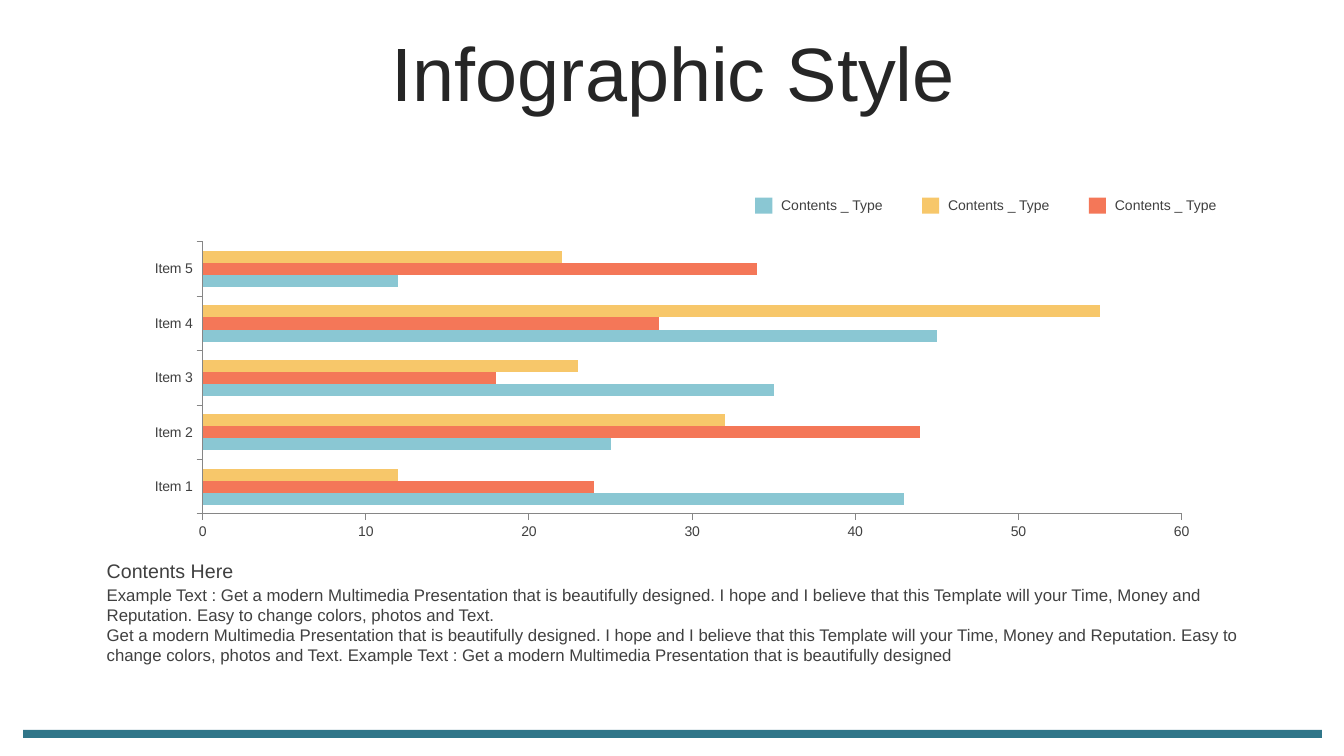
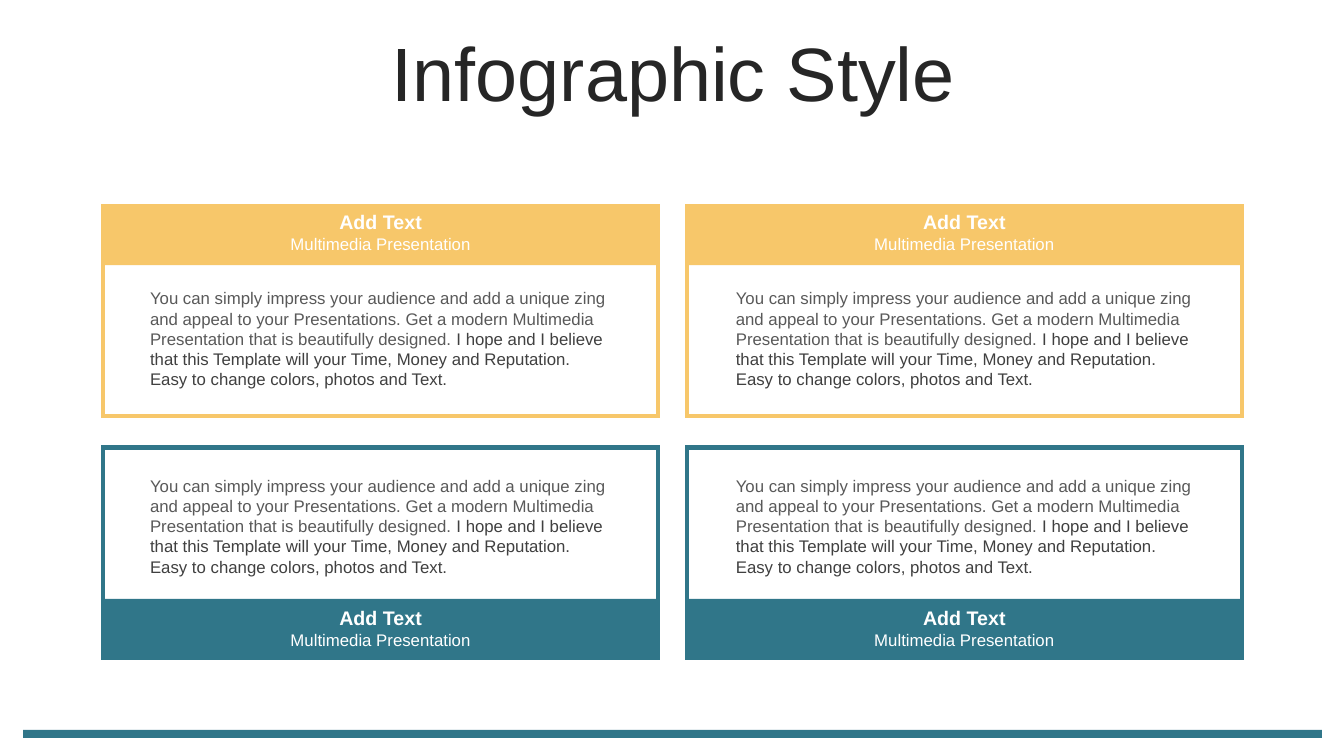
from dataclasses import dataclass

from lxml.etree import SubElement
from pptx import Presentation
from pptx.chart.data import CategoryChartData
from pptx.dml.color import RGBColor
from pptx.enum.chart import XL_CHART_TYPE, XL_TICK_MARK
from pptx.enum.shapes import MSO_SHAPE
from pptx.enum.text import MSO_ANCHOR, PP_ALIGN
from pptx.oxml.ns import qn
from pptx.util import Inches, Pt

FONT = "Arial"
TEAL, SKY, AMBER, CORAL = "307689", "8AC7D3", "F7C76A", "F47758"
WHITE, INK, DARK, GREY, AXIS = "FFFFFF", "262626", "404040", "595959", "868686"

CARD_WIDTH, CARD_HEIGHT, BAND_HEIGHT = 5.51, 2.09, 0.59
LEGEND_LEFT, LEGEND_STEP = 7.49, 1.655

HOPE = "I hope and I believe that this Template will your Time, Money and Reputation. Easy to change colors, photos and Text."
DESIGN = "Get a modern Multimedia Presentation that is beautifully designed"
PITCH = f"You can simply impress your audience and add a unique zing and appeal to your Presentations. {DESIGN}. "
SUMMARY = (
    f"Example Text : {DESIGN}. {HOPE}",
    f"{DESIGN}. {HOPE} Example Text : {DESIGN}",
)


@dataclass(frozen=True)
class Run:
    """A stretch of text in one style."""
    text: str
    size: float = 12
    color: str = DARK
    bold: bool = False


@dataclass(frozen=True)
class Area:
    """A rectangular area in inches."""
    left: float
    top: float
    width: float
    height: float


@dataclass(frozen=True)
class Measure:
    """A chart series and its colour."""
    name: str
    values: tuple[int, ...]
    color: str


@dataclass(frozen=True)
class CardColumn:
    """A column of cards and the left edge of their body text."""
    left: float
    body_left: float


@dataclass(frozen=True)
class CardRow:
    """A row of cards with the tops of their parts."""
    top: float
    color: str
    band_top: float
    band_margin: float
    body_top: float


CHART_AREA = Area(1.33, 2.35, 10.68, 3.07)
PLOT_AREA = Area(2.01, 2.4, 9.71, 2.7)
MEASURES = (
    Measure("Series 1", (43, 25, 35, 45, 12), SKY),
    Measure("Series 2", (24, 44, 18, 28, 34), CORAL),
    Measure("Series 3", (12, 32, 23, 55, 22), AMBER),
)
CARD_COLUMNS = (CardColumn(1.02, 1.39), CardColumn(6.81, 7.2))
CARD_ROWS = (
    CardRow(2.04, AMBER, 2.04, 0.04, 2.81),
    CardRow(4.44, TEAL, 4.44 + CARD_HEIGHT - BAND_HEIGHT, 0.07, 4.67),
)


def rgb(value: str) -> RGBColor:
    """Turn a hex string into a colour."""
    return RGBColor.from_string(value)


def write(frame, paragraphs: list[list[Run]], align=PP_ALIGN.LEFT) -> None:
    """Fill a text frame with styled paragraphs."""
    frame.word_wrap = True
    for index, runs in enumerate(paragraphs):
        paragraph = frame.add_paragraph() if index else frame.paragraphs[0]
        paragraph.alignment = align
        for part in runs:
            run = paragraph.add_run()
            run.text = part.text
            run.font.name, run.font.size = FONT, Pt(part.size)
            run.font.bold = part.bold
            run.font.color.rgb = rgb(part.color)


def add_text(slide, left: float, top: float, width: float, height: float,
             paragraphs: list[list[Run]], anchor=MSO_ANCHOR.TOP) -> None:
    """Add a wrapped text box."""
    frame = slide.shapes.add_textbox(
        Inches(left), Inches(top), Inches(width), Inches(height)).text_frame
    frame.vertical_anchor = anchor
    write(frame, paragraphs)


def add_rect(slide, left: float, top: float, width: float, height: float,
             fill: str = "", line: str = ""):
    """Add a rectangle that is filled or has a sharp-cornered outline."""
    rect = slide.shapes.add_shape(
        MSO_SHAPE.RECTANGLE, Inches(left), Inches(top), Inches(width), Inches(height))
    rect.shadow.inherit = False
    if fill:
        rect.fill.solid()
        rect.fill.fore_color.rgb = rgb(fill)
    else:
        rect.fill.background()
    if line:
        rect.line.color.rgb = rgb(line)
        rect.line.width = Pt(3)
        outline = rect._element.spPr.find(qn("a:ln"))
        SubElement(outline, qn("a:miter")).set("lim", "800000")
    else:
        rect.line.fill.background()
    return rect


def add_slide(deck, heading: str):
    """Add a slide with the shared title and footer band."""
    slide = deck.slides.add_slide(deck.slide_layouts[5])
    add_rect(slide, 0.23, 7.24, 12.88, 0.08, fill=TEAL)
    title = slide.shapes.title
    title.left, title.top = Inches(0.35), Inches(0.37)
    title.width, title.height = Inches(12.66), Inches(0.79)
    title.text_frame.vertical_anchor = MSO_ANCHOR.MIDDLE
    write(title.text_frame, [[Run(heading, 54, INK)]], PP_ALIGN.CENTER)
    title.text_frame.paragraphs[0].line_spacing = 0.9
    return slide


def place_plot(chart, outer: Area, inner: Area) -> None:
    """Fix the inner plot area within the chart."""
    plot_area = chart.plots[0]._element.getparent()
    for old in plot_area.findall(qn("c:layout")):
        plot_area.remove(old)
    layout = SubElement(plot_area, qn("c:layout"))
    plot_area.insert(0, layout)
    manual = SubElement(layout, qn("c:manualLayout"))
    settings = {
        "layoutTarget": "inner", "xMode": "edge", "yMode": "edge",
        "x": (inner.left - outer.left) / outer.width,
        "y": (inner.top - outer.top) / outer.height,
        "w": inner.width / outer.width,
        "h": inner.height / outer.height,
    }
    for tag, value in settings.items():
        SubElement(manual, qn(f"c:{tag}")).set("val", str(value))


def add_bars(slide) -> None:
    """Add the clustered bar chart."""
    data = CategoryChartData(number_format="General")
    data.categories = [f"Item {number}" for number in range(1, 6)]
    for measure in MEASURES:
        data.add_series(measure.name, measure.values)
    chart = slide.shapes.add_chart(
        XL_CHART_TYPE.BAR_CLUSTERED, Inches(CHART_AREA.left), Inches(CHART_AREA.top),
        Inches(CHART_AREA.width), Inches(CHART_AREA.height), data).chart
    chart.has_legend = chart.has_title = False
    chart.font.name, chart.font.size = FONT, Pt(10)
    chart.font.color.rgb = rgb(DARK)
    plot = chart.plots[0]
    plot.gap_width, plot.overlap = 150, 0
    plot.vary_by_categories = False
    for series, measure in zip(plot.series, MEASURES):
        series.invert_if_negative = False
        series.format.fill.solid()
        series.format.fill.fore_color.rgb = rgb(measure.color)
    for axis in (chart.category_axis, chart.value_axis):
        axis.has_major_gridlines = False
        axis.major_tick_mark = XL_TICK_MARK.OUTSIDE
        axis.format.line.color.rgb = rgb(AXIS)
        axis.tick_labels.font.size = Pt(10)
        axis.tick_labels.font.color.rgb = rgb(DARK)
    chart.value_axis.minimum_scale, chart.value_axis.maximum_scale = 0, 60
    chart.value_axis.major_unit = 10
    place_plot(chart, CHART_AREA, PLOT_AREA)


def add_legend(slide) -> None:
    """Add the row of colour keys above the chart."""
    for index, color in enumerate((SKY, AMBER, CORAL)):
        left = LEGEND_LEFT + index * LEGEND_STEP
        add_rect(slide, left, 1.96, 0.17, 0.16, fill=color)
        add_text(slide, left + 0.16, 1.9, 1.43, 0.27,
                 [[Run("Contents _ Type", 10)]], MSO_ANCHOR.MIDDLE)


def add_card(slide, column: CardColumn, row: CardRow) -> None:
    """Add an outlined card with a heading band and body text."""
    add_rect(slide, column.left, row.top, CARD_WIDTH, CARD_HEIGHT, line=row.color)
    band = add_rect(slide, column.left, row.band_top,
                    CARD_WIDTH, BAND_HEIGHT, fill=row.color)
    band.text_frame.vertical_anchor = MSO_ANCHOR.TOP
    band.text_frame.margin_top = Inches(row.band_margin)
    heading = [Run("Add Text", 14, WHITE, True)]
    write(band.text_frame, [heading, [Run("Multimedia Presentation", 12, WHITE)]],
          PP_ALIGN.CENTER)
    add_text(slide, column.body_left, row.body_top, 4.74, 1.11,
             [[Run(PITCH, color=GREY), Run(HOPE)]])


def main() -> None:
    """Build and save both slides."""
    deck = Presentation()
    deck.slide_width, deck.slide_height = Inches(13.33), Inches(7.5)

    chart_slide = add_slide(deck, "Infographic Style")
    add_bars(chart_slide)
    add_text(chart_slide, 0.96, 5.75, 11.64, 0.91, [[Run(text)] for text in SUMMARY])
    add_text(chart_slide, 0.96, 5.5, 11.66, 0.34, [[Run("Contents Here", 14)]])
    add_legend(chart_slide)

    card_slide = add_slide(deck, "Infographic Style")
    for row in CARD_ROWS:
        for column in CARD_COLUMNS:
            add_card(card_slide, column, row)

    deck.save("out.pptx")


if __name__ == "__main__":
    main()
